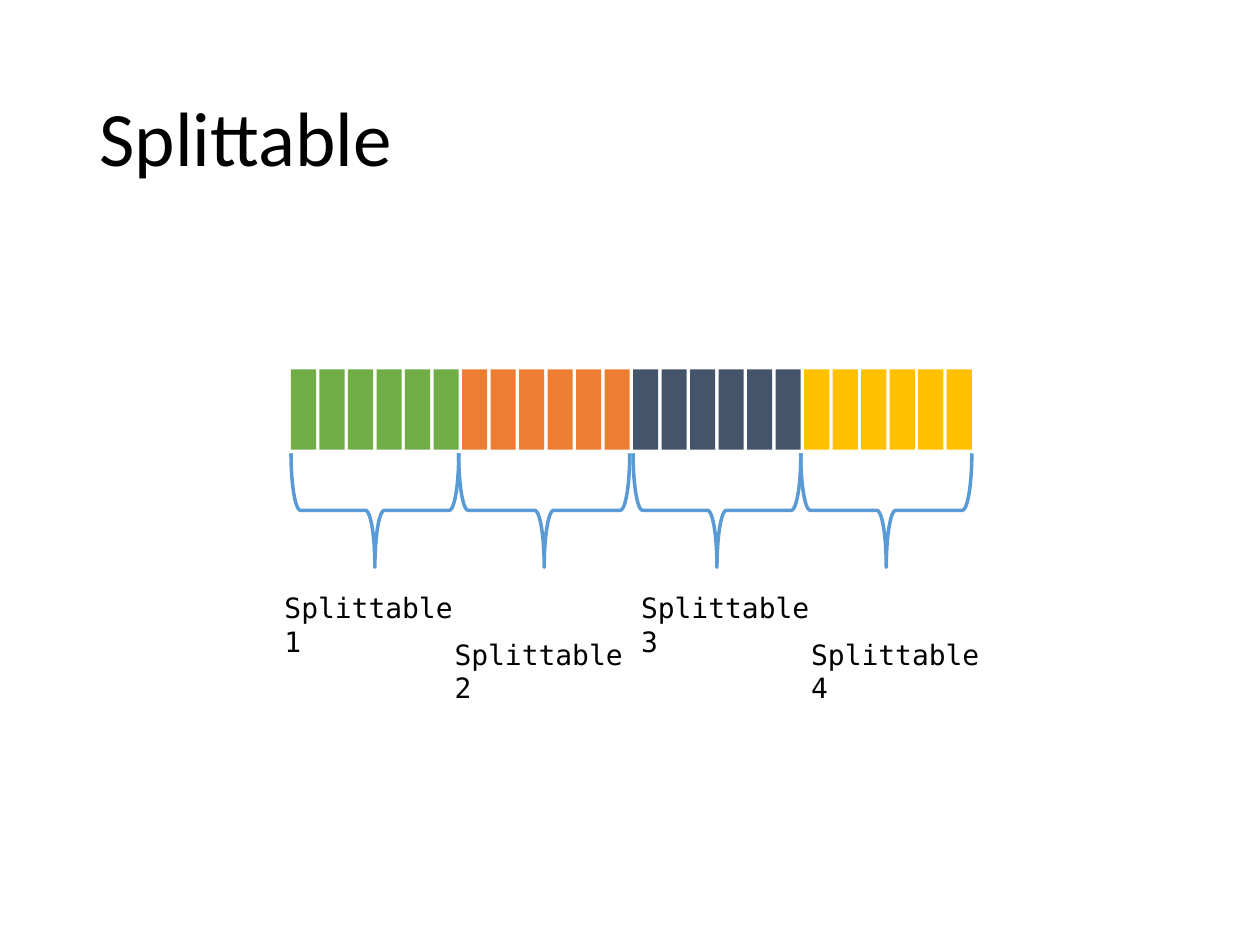
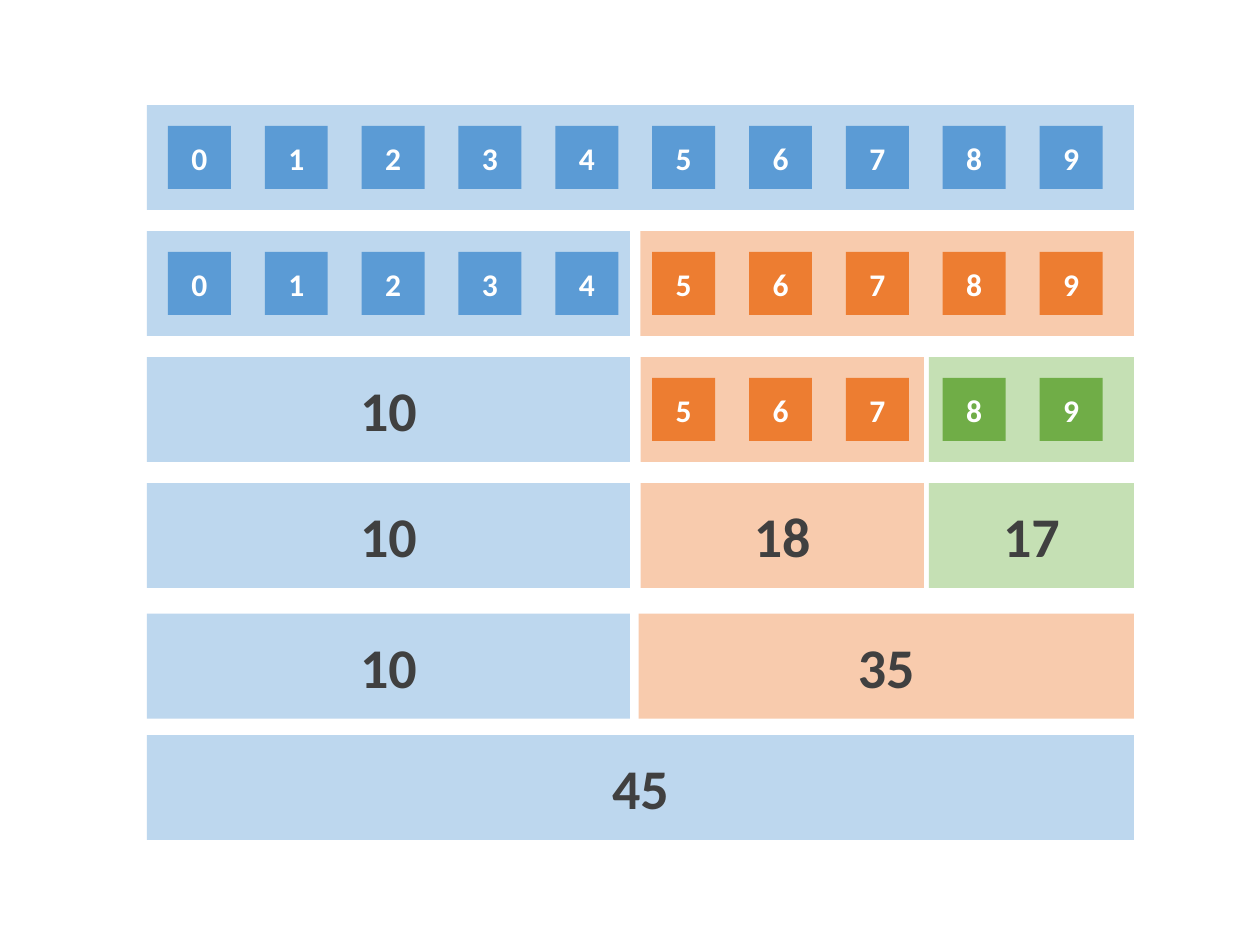
"""Builds two slides on splitting a sequence into parts and summing the parts."""
from pptx import Presentation
from pptx.dml.color import RGBColor
from pptx.enum.shapes import MSO_SHAPE
from pptx.enum.text import MSO_ANCHOR, PP_ALIGN
from pptx.util import Pt

RECTANGLE, BRACE = MSO_SHAPE.RECTANGLE, MSO_SHAPE.LEFT_BRACE
MIDDLE, LEFT, CENTER = MSO_ANCHOR.MIDDLE, PP_ALIGN.LEFT, PP_ALIGN.CENTER
TITLE_ONLY, BLANK = 5, 6
SANS, MONO = "Calibri", "DejaVu Sans Mono"

BLACK, WHITE, GRAY = "000000", "FFFFFF", "404040"
BLUE, ORANGE, GREEN, SLATE, GOLD = "5B9BD5", "ED7D31", "70AD47", "44546A", "FFC000"
PALE = {BLUE: "BDD7EE", ORANGE: "F8CBAD", GREEN: "C5E0B4"}

# name, cell colour, brace starts where the previous group ends, label left, label top
GROUPS = [
    ("Splittable 1", GREEN, False, 155.5, 334),
    ("Splittable 2", ORANGE, True, 252.7, 360.7),
    ("Splittable 3", SLATE, False, 359.3, 334),
    ("Splittable 4", GOLD, True, 456.5, 360.7),
]
CELLS_PER_GROUP = 6
CELL_LEFT, CELL_TOP, CELL_WIDTH, CELL_HEIGHT, CELL_PITCH = 166.3, 211, 14.4, 46, 16.29
BRACE_TOP, BRACE_DEPTH = 259, 65.2

# row top, then bands of left, right, colour and either numbers or a sum
ROWS = [
    (60, [(84, 648, BLUE, range(10))]),
    (132, [(84, 360, BLUE, range(5)), (366, 648, ORANGE, range(5, 10))]),
    (204, [(84, 360, BLUE, "10"), (366, 528, ORANGE, range(5, 8)),
           (530.8, 648, GREEN, range(8, 10))]),
    (276, [(84, 360, BLUE, "10"), (366, 528, ORANGE, "18"), (530.8, 648, GREEN, "17")]),
    (350.7, [(84, 360, BLUE, "10"), (365, 648, ORANGE, "35")]),
    (420, [(84, 648, BLUE, "45")]),
]
BAND_HEIGHT, TILE_LEFT, TILE_SIZE, TILE_PITCH = 60, 96, 36, 55.34


def color(value):
    """Turn a hex string into a colour."""
    return RGBColor.from_string(value)


def write(frame, text, size, tone, font=SANS, bold=False, align=LEFT):
    """Write one run into the first paragraph of a frame and return the paragraph."""
    paragraph = frame.paragraphs[0]
    paragraph.alignment = align
    run = paragraph.add_run()
    run.text = text
    run.font.size, run.font.name, run.font.bold = Pt(size), font, bold
    run.font.color.rgb = color(tone)
    return paragraph


def add_box(slide, left, top, width, height, fill, text="", size=18, tone=WHITE):
    """Add a filled rectangle with optional bold centred text."""
    shape = slide.shapes.add_shape(RECTANGLE, Pt(left), Pt(top), Pt(width), Pt(height))
    shape.shadow.inherit = False
    shape.fill.solid()
    shape.fill.fore_color.rgb = color(fill)
    shape.line.fill.background()
    if text:
        shape.text_frame.vertical_anchor = MIDDLE
        write(shape.text_frame, text, size, tone, bold=True, align=CENTER)


def add_brace(slide, left, right):
    """Add a brace that opens upwards and spans left to right."""
    span = right - left
    shape = slide.shapes.add_shape(
        BRACE, Pt((left + right - BRACE_DEPTH) / 2), Pt(BRACE_TOP + (BRACE_DEPTH - span) / 2),
        Pt(BRACE_DEPTH), Pt(span))
    shape.rotation = 270
    shape.shadow.inherit = False
    shape.fill.background()
    shape.line.color.rgb = color(BLUE)
    shape.line.width = Pt(2)


def add_label(slide, text, left, top):
    """Add a monospaced label."""
    frame = slide.shapes.add_textbox(Pt(left), Pt(top), Pt(120.2), Pt(26.6)).text_frame
    frame.word_wrap = True
    write(frame, text, 16, BLACK, MONO)


def build_splittable(presentation):
    """Build the slide with the sequence split into four groups."""
    slide = presentation.slides.add_slide(presentation.slide_layouts[TITLE_ONLY])
    title = slide.shapes.title
    title.left, title.top, title.width, title.height = Pt(49.7), Pt(28.8), Pt(620.6), Pt(104.4)
    title.text_frame.vertical_anchor = MIDDLE
    write(title.text_frame, "Splittable", 44, BLACK).line_spacing = 0.9

    previous_end = CELL_LEFT
    for group, (name, fill, joined, label_left, label_top) in enumerate(GROUPS):
        start = CELL_LEFT + group * CELLS_PER_GROUP * CELL_PITCH
        end = start + (CELLS_PER_GROUP - 1) * CELL_PITCH + CELL_WIDTH
        for cell in range(CELLS_PER_GROUP):
            add_box(slide, start + cell * CELL_PITCH, CELL_TOP, CELL_WIDTH, CELL_HEIGHT, fill)
        add_brace(slide, previous_end if joined else start, end)
        add_label(slide, name, label_left, label_top)
        previous_end = end


def build_sums(presentation):
    """Build the slide with numbers split into bands and added up again."""
    slide = presentation.slides.add_slide(presentation.slide_layouts[BLANK])
    for top, bands in ROWS:
        for left, right, tone, content in bands:
            total = content if isinstance(content, str) else ""
            add_box(slide, left, top, right - left, BAND_HEIGHT, PALE[tone], total, 32, GRAY)
            if total:
                continue
            for number in content:
                add_box(slide, TILE_LEFT + number * TILE_PITCH,
                        top + (BAND_HEIGHT - TILE_SIZE) / 2,
                        TILE_SIZE, TILE_SIZE, tone, str(number))


def main():
    """Build and save the presentation."""
    presentation = Presentation()
    presentation.slide_width, presentation.slide_height = Pt(720), Pt(540)
    build_splittable(presentation)
    build_sums(presentation)
    presentation.save("out.pptx")


if __name__ == "__main__":
    main()
